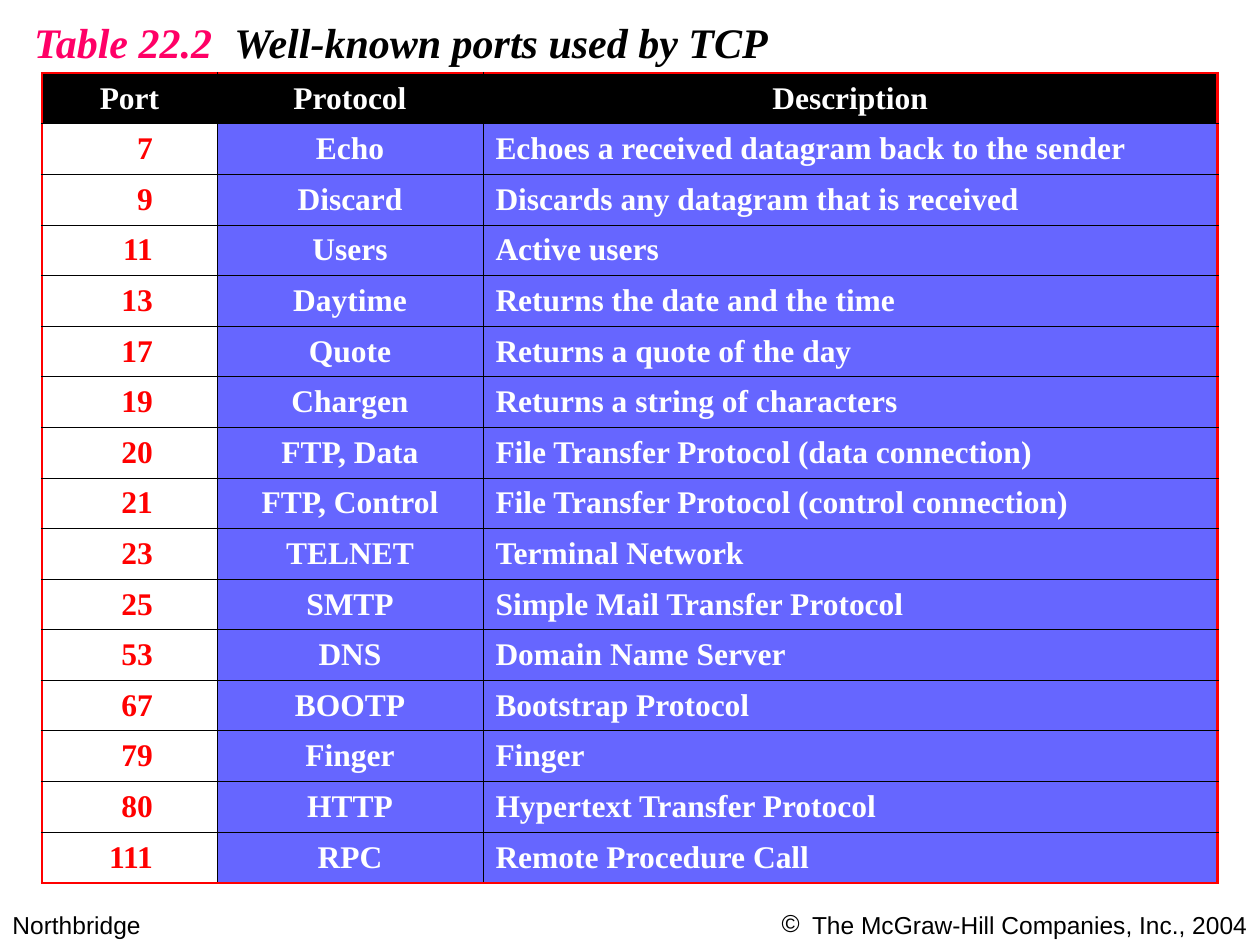
from dataclasses import dataclass
from typing import NamedTuple

from lxml import etree
from pptx import Presentation
from pptx.dml.color import RGBColor
from pptx.enum.text import MSO_ANCHOR, MSO_AUTO_SIZE, PP_ALIGN
from pptx.oxml.ns import qn
from pptx.util import Inches, Pt

LEFT, CENTER, RIGHT = PP_ALIGN.LEFT, PP_ALIGN.CENTER, PP_ALIGN.RIGHT
TOP, MIDDLE = MSO_ANCHOR.TOP, MSO_ANCHOR.MIDDLE
NO_AUTOFIT = MSO_AUTO_SIZE.NONE
TITLE_ONLY = 5
GRID_COLUMNS, GRID_ROWS = 100, 75


@dataclass(frozen=True)
class Theme:
    serif: str = "Times New Roman"
    sans: str = "Arial"
    ink: str = "000000"
    paper: str = "FFFFFF"
    accent: str = "FF0066"
    red: str = "FF0000"
    violet: str = "6666FF"
    title_size: int = 24
    table_size: int = 18
    footer_size: int = 14
    thin: float = 0.45
    thick: float = 1.47


class Frame(NamedTuple):
    left: float
    top: float
    width: float
    height: float


class Service(NamedTuple):
    port: str
    protocol: str
    description: str


@dataclass(frozen=True)
class Column:
    width: float
    align: PP_ALIGN
    color: str
    fill: str
    right_margin: float = 1


THEME = Theme()
TITLE_FRAME = Frame(1.7, 0.8, 60.7, 5)
TABLE_FRAME = Frame(3.33, 5.8, 93.3, 64.3)
PUBLISHER_FRAME = Frame(0, 71.7, 24.2, 3.4)
COPYRIGHT_FRAME = Frame(50, 71.7, 50, 3.4)
TITLE_TAB = 15.9
BULLET_INDENT = 2.4

COLUMNS = (
    Column(13.9, RIGHT, THEME.red, THEME.paper, right_margin=5.1),
    Column(21.1, CENTER, THEME.paper, THEME.violet),
    Column(58.3, LEFT, THEME.paper, THEME.violet),
)
HEADER = Service("Port", "Protocol", "Description")
SERVICES = (
    Service("7", "Echo", "Echoes a received datagram back to the sender"),
    Service("9", "Discard", "Discards any datagram that is received"),
    Service("11", "Users", "Active users"),
    Service("13", "Daytime", "Returns the date and the time"),
    Service("17", "Quote", "Returns a quote of the day"),
    Service("19", "Chargen", "Returns a string of characters"),
    Service("20", "FTP, Data", "File Transfer Protocol (data connection)"),
    Service("21", "FTP, Control", "File Transfer Protocol (control connection)"),
    Service("23", "TELNET", "Terminal Network"),
    Service("25", "SMTP", "Simple Mail Transfer Protocol"),
    Service("53", "DNS", "Domain Name Server"),
    Service("67", "BOOTP", "Bootstrap Protocol"),
    Service("79", "Finger", "Finger"),
    Service("80", "HTTP", "Hypertext Transfer Protocol"),
    Service("111", "RPC", "Remote Procedure Call"),
)


def units(count: float) -> int:
    return Inches(count * 10 / GRID_COLUMNS)


def place(shape, frame: Frame) -> None:
    shape.left, shape.top, shape.width, shape.height = map(units, frame)


def write(paragraph, text: str, *, size: int, color: str, font: str = THEME.serif,
          bold: bool = False, italic: bool = False, align: PP_ALIGN = LEFT) -> None:
    paragraph.alignment = align
    run = paragraph.add_run()
    run.text = text
    run.font.name = font
    run.font.size = Pt(size)
    run.font.bold = bold
    run.font.italic = italic
    run.font.color.rgb = RGBColor.from_string(color)


def add_tab_stop(paragraph, position: float) -> None:
    tabs = etree.SubElement(paragraph._p.get_or_add_pPr(), qn("a:tabLst"))
    etree.SubElement(tabs, qn("a:tab"), pos=str(units(position)), algn="l")


def add_bullet(paragraph, character: str) -> None:
    properties = paragraph._p.get_or_add_pPr()
    properties.set("marL", str(units(BULLET_INDENT)))
    properties.set("indent", str(-units(BULLET_INDENT)))
    etree.SubElement(properties, qn("a:buFont"), typeface=THEME.sans)
    etree.SubElement(properties, qn("a:buChar"), char=character)


def add_title(slide, label: str, title: str) -> None:
    shape = slide.shapes.title
    place(shape, TITLE_FRAME)
    text_frame = shape.text_frame
    text_frame.auto_size = NO_AUTOFIT
    text_frame.word_wrap = False
    text_frame.vertical_anchor = TOP
    paragraph = text_frame.paragraphs[0]
    add_tab_stop(paragraph, TITLE_TAB)
    for text, color in ((label + "\t", THEME.accent), (title, THEME.ink)):
        write(paragraph, text, size=THEME.title_size, color=color, bold=True, italic=True)


def add_footer(slide, frame: Frame, text: str, align: PP_ALIGN, bullet: str = "") -> None:
    shape = slide.shapes.add_textbox(*map(units, frame))
    shape.text_frame.word_wrap = True
    paragraph = shape.text_frame.paragraphs[0]
    if bullet:
        add_bullet(paragraph, bullet)
    write(paragraph, text, size=THEME.footer_size, color=THEME.ink,
          font=THEME.sans, align=align)


def set_borders(cell, outer_sides: dict[str, bool]) -> None:
    properties = cell._tc.get_or_add_tcPr()
    for side, outer in outer_sides.items():
        width, color = (THEME.thick, THEME.red) if outer else (THEME.thin, THEME.ink)
        line = etree.SubElement(properties, qn(f"a:ln{side}"), w=str(Pt(width)))
        fill = etree.SubElement(line, qn("a:solidFill"))
        etree.SubElement(fill, qn("a:srgbClr"), val=color)


def fill_cell(cell, text: str, column: Column, is_header: bool) -> None:
    cell.vertical_anchor = MIDDLE
    cell.margin_left = units(1)
    cell.margin_right = units(1 if is_header else column.right_margin)
    cell.margin_top = cell.margin_bottom = units(0.5)
    cell.fill.solid()
    cell.fill.fore_color.rgb = RGBColor.from_string(THEME.ink if is_header else column.fill)
    write(cell.text_frame.paragraphs[0], text, size=THEME.table_size, bold=True,
          color=THEME.paper if is_header else column.color,
          align=CENTER if is_header else column.align)


def add_port_table(slide) -> None:
    records = (HEADER, *SERVICES)
    last_row, last_column = len(records) - 1, len(COLUMNS) - 1
    table = slide.shapes.add_table(len(records), len(COLUMNS), *map(units, TABLE_FRAME)).table
    table.first_row = table.horz_banding = False
    for table_column, column in zip(table.columns, COLUMNS):
        table_column.width = units(column.width)
    for row, record in enumerate(records):
        table.rows[row].height = units(TABLE_FRAME.height / len(records))
        for index, (text, column) in enumerate(zip(record, COLUMNS)):
            cell = table.cell(row, index)
            set_borders(cell, {"L": index == 0, "R": index == last_column,
                               "T": row == 0, "B": row == last_row})
            fill_cell(cell, text, column, is_header=row == 0)


def main() -> None:
    presentation = Presentation()
    presentation.slide_width = units(GRID_COLUMNS)
    presentation.slide_height = units(GRID_ROWS)
    slide = presentation.slides.add_slide(presentation.slide_layouts[TITLE_ONLY])
    add_title(slide, "Table 22.2", "Well-known ports used by TCP")
    add_port_table(slide)
    add_footer(slide, PUBLISHER_FRAME, "Northbridge", LEFT)
    add_footer(slide, COPYRIGHT_FRAME, "The McGraw-Hill Companies, Inc., 2004", RIGHT, bullet="©")
    presentation.save("out.pptx")


if __name__ == "__main__":
    main()
